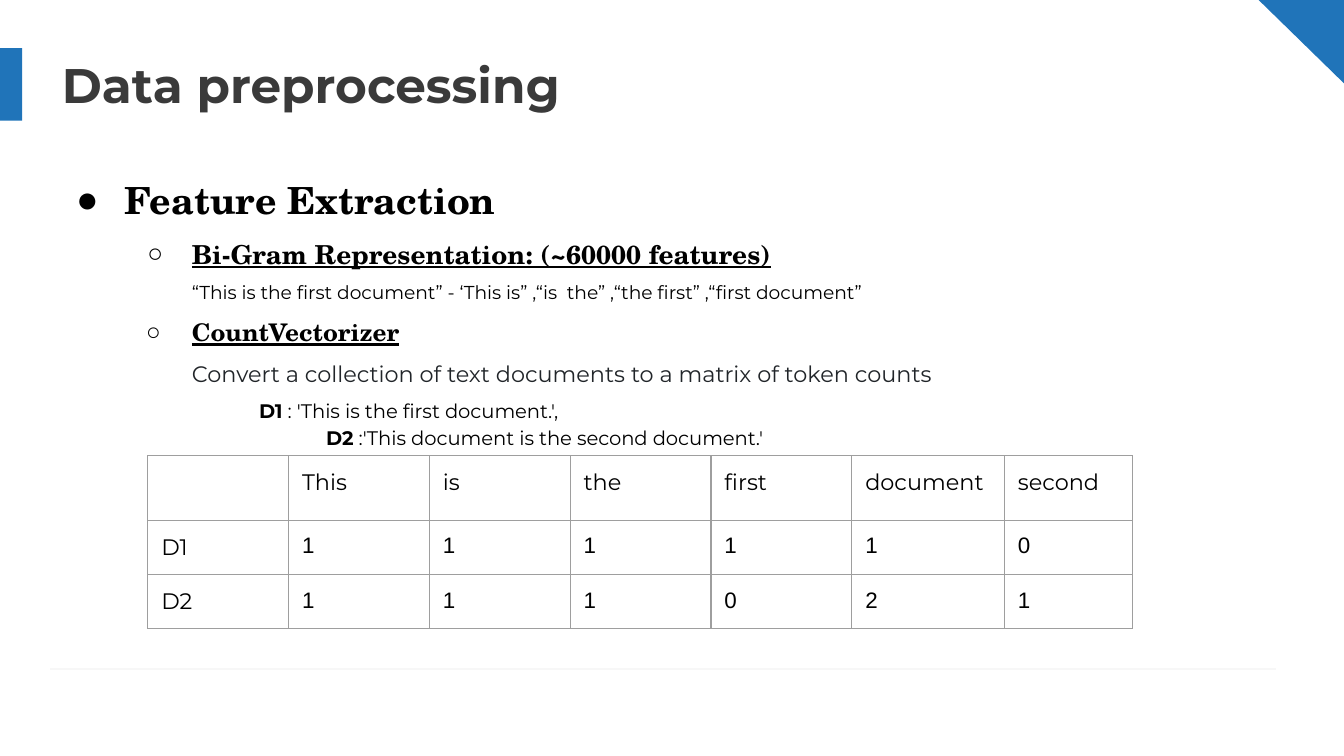
from lxml import etree
from pptx import Presentation
from pptx.dml.color import RGBColor
from pptx.enum.shapes import MSO_CONNECTOR, MSO_SHAPE
from pptx.enum.text import MSO_ANCHOR, MSO_AUTO_SIZE, PP_ALIGN
from pptx.oxml.ns import qn
from pptx.util import Inches, Pt

RECT, WEDGE = MSO_SHAPE.RECTANGLE, MSO_SHAPE.RIGHT_TRIANGLE
LINE = MSO_CONNECTOR.STRAIGHT
TOP, LEFT, FIXED = MSO_ANCHOR.TOP, PP_ALIGN.LEFT, MSO_AUTO_SIZE.NONE
SANS, SERIF, PLAIN = "Montserrat", "TeX Gyre Schola", "Arial"
BLUE, BLACK, DARK, SLATE = "2074B9", "000000", "3A3A3A", "212529"
PALE, GREY = "F7F7F7", "9E9E9E"
COLS, ROWS = 100, 56.25


def color(code):
    """Turn a hex string into a colour."""
    return RGBColor.from_string(code)


def node(parent, tag, **attrs):
    """Append a DrawingML child and return it."""
    return etree.SubElement(parent, qn("a:" + tag), attrs)


class Deck:
    """Holds the grid, the style and the current slide."""

    def __init__(self):
        """Start a deck with one title and body slide."""
        self.prs = Presentation()
        self.step = Inches(0.1)
        self.prs.slide_width = self.at(COLS)
        self.prs.slide_height = self.at(ROWS)
        self.slide = self.prs.slides.add_slide(self.prs.slide_layouts[1])

    def at(self, count):
        """Turn grid steps into a length."""
        return round(count * self.step)

    def shape(self, kind, box, fill, turn=0):
        """Add a flat shape without outline."""
        item = self.slide.shapes.add_shape(kind, *map(self.at, box))
        item.shadow.inherit = False
        item.fill.solid()
        item.fill.fore_color.rgb = color(fill)
        item.line.fill.background()
        item.rotation = turn

    def rule(self, left, right, row, code):
        """Add a thin level line."""
        line = self.slide.shapes.add_connector(
            LINE, self.at(left), self.at(row), self.at(right), self.at(row))
        line.line.color.rgb = color(code)
        line.line.width = Pt(1)
        node(line._element.spPr, "effectLst")

    def frame(self, item, box, inset):
        """Place a placeholder and return its text frame."""
        item.left, item.top, item.width, item.height = map(self.at, box)
        text = item.text_frame
        text.word_wrap, text.auto_size = True, FIXED
        text.vertical_anchor = TOP
        text.margin_left = text.margin_right = self.at(inset)
        text.margin_top = text.margin_bottom = self.at(inset / 2)
        return text

    def run(self, para, text, size, font=SANS, code=BLACK, bold=False, under=False):
        """Add one styled run."""
        run = para.add_run()
        run.text = text
        run.font.size, run.font.name = Pt(size), font
        run.font.bold, run.font.underline = bold, under
        run.font.color.rgb = color(code)

    def title(self, text, box):
        """Fill the title placeholder."""
        para = self.frame(self.slide.shapes.title, box, 0).paragraphs[0]
        para.alignment = LEFT
        self.run(para, text, 26, code=DARK, bold=True)

    def body(self, items, box):
        """Fill the body placeholder with (level, margin, hang, mark, space, runs)."""
        text = self.frame(self.slide.placeholders[1], box, 1)
        for num, (level, margin, hang, mark, space, runs) in enumerate(items):
            para = text.add_paragraph() if num else text.paragraphs[0]
            para.level, para.alignment = level, LEFT
            para.line_spacing = space
            para.space_before = para.space_after = Pt(0)
            props = para._p.get_or_add_pPr()
            props.set("marL", str(self.at(margin)))
            props.set("indent", str(-self.at(hang)))
            if mark:
                node(node(props, "buClr"), "srgbClr", val=BLACK)
                node(props, "buFont", typeface=PLAIN)
                node(props, "buChar", char=mark)
            else:
                node(props, "buNone")
            for words, style in runs:
                self.run(para, words, **style)

    def border(self, cell, code):
        """Draw all four sides of a cell."""
        props = cell._tc.get_or_add_tcPr()
        for spot, side in enumerate("LRTB"):
            line = node(props, "ln" + side, w=str(Pt(0.75)))
            node(node(line, "solidFill"), "srgbClr", val=code)
            props.insert(spot, line)

    def table(self, data, left, top, wide, high):
        """Add a plain ruled table."""
        grid = self.slide.shapes.add_table(
            len(data), len(wide), self.at(left), self.at(top),
            self.at(sum(wide)), self.at(high * len(data))).table
        grid.first_row = grid.horz_banding = False
        for col, width in zip(grid.columns, wide):
            col.width = self.at(width)
        for row, words in zip(grid.rows, data):
            row.height = self.at(high)
            for cell, word in zip(row.cells, words):
                cell.margin_left = cell.margin_right = self.at(1)
                cell.margin_top = cell.margin_bottom = self.at(1)
                cell.fill.background()
                self.border(cell, GREY)
                para = cell.text_frame.paragraphs[0]
                if word:
                    font = PLAIN if word.isdigit() else SANS
                    self.run(para, word, 12, font)
                else:
                    node(node(para._p, "endParaRPr", sz="1800"), "latin", typeface=PLAIN)


def main():
    """Build the slide and save it."""
    deck = Deck()
    deck.shape(RECT, (0, 3.58, 1.65, 5.4), BLUE)
    deck.shape(WEDGE, (93.65, 0, 6.4, 6.25), BLUE, 180)
    deck.rule(3.75, 94.95, 49.8, PALE)
    deck.title("Data preprocessing", (4.6, 4.1, 41.7, 5.4))

    head = dict(font=SERIF, bold=True)
    small, strong = dict(size=10.5), dict(size=10.5, bold=True)
    deck.body([
        (0, 5, 3.6, "●", 1.5, [("Feature Extraction", dict(size=20, **head))]),
        (1, 10, 3.3, "○", 1.5, [("Bi-Gram Representation: (~60000 features)",
                                 dict(size=14, under=True, **head))]),
        (0, 10, 0, "", 1.5, [(
            "“This is the first document” - ‘This is” ,“is  the” ,“the first” ,“first document”",
            dict(size=10))]),
        (1, 10, 3.4, "○", 1.5, [("CountVectorizer", dict(size=13, under=True, **head))]),
        (0, 10, 0, "", 1.5, [(
            "Convert a collection of text documents to a matrix of token counts",
            dict(size=12, code=SLATE))]),
        (0, 15, 0, "", 1.5, [("D1", strong), (" : 'This is the first document.',", small)]),
        (0, 20, 0, "", 1.15, [("D2", strong),
                              (" :'This document is the second document.'", small)]),
    ], (3.27, 11.04, 85.8, 41.1))

    deck.table([
        ["", "This", "is", "the", "first", "document", "second"],
        ["D1", *"111110"],
        ["D2", *"111021"],
    ], 11, 33.9, [10.48] * 5 + [11.36, 9.55], 3.8)
    deck.prs.save("out.pptx")


if __name__ == "__main__":
    main()
